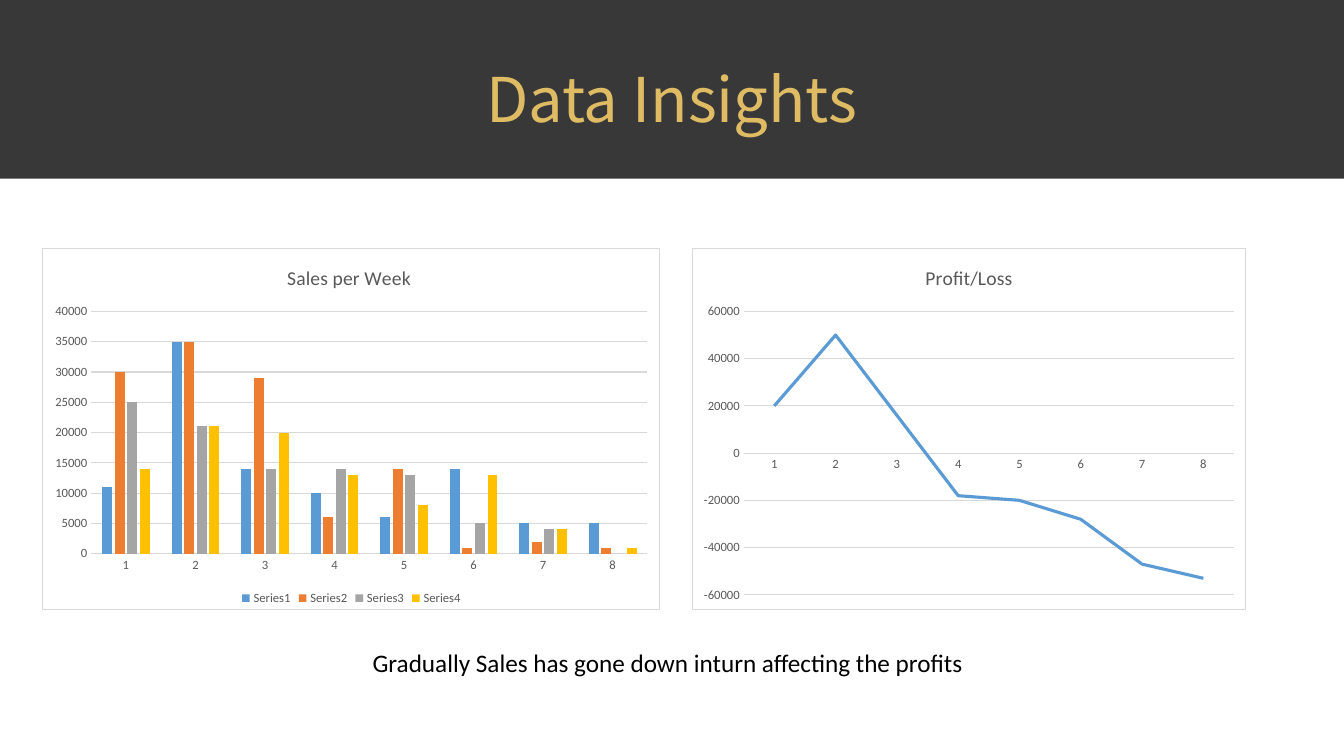
import pptx
import pptx.chart.data
import pptx.dml.color
import pptx.enum.chart
import pptx.enum.shapes
import pptx.enum.text
import pptx.oxml
import pptx.oxml.ns
import pptx.util

Cm, Pt = pptx.util.Cm, pptx.util.Pt
RGBColor = pptx.dml.color.RGBColor
ChartType = pptx.enum.chart.XL_CHART_TYPE
Align = pptx.enum.text.PP_ALIGN

CHARCOAL = RGBColor(0x38, 0x38, 0x38)
WHITE = RGBColor(0xFF, 0xFF, 0xFF)
BLACK = RGBColor(0, 0, 0)
GOLD = RGBColor(0xDF, 0xBB, 0x64)
LABEL_GRAY = RGBColor(0x59, 0x59, 0x59)
GRID_GRAY = RGBColor(0xD9, 0xD9, 0xD9)
BLUE = RGBColor(0x5B, 0x9B, 0xD5)
SALES_COLORS = [BLUE, RGBColor(0xED, 0x7D, 0x31), RGBColor(0xA5, 0xA5, 0xA5),
                RGBColor(0xFF, 0xC0, 0x00)]

WIDTH, HEIGHT, HEADER = 33.87, 19.05, 4.5
CHART_TOP, CHART_HEIGHT = 6.25, 9.12
WEEKS = [str(week) for week in range(1, 9)]
SALES = {
    "Series1": [11000, 35000, 14000, 10000, 6000, 14000, 5000, 5000],
    "Series2": [30000, 35000, 29000, 6000, 14000, 1000, 2000, 1000],
    "Series3": [25000, 21000, 14000, 14000, 13000, 5000, 4000, 0],
    "Series4": [14000, 21000, 20000, 13000, 8000, 13000, 4000, 1000],
}
PROFIT = {"Profit/Loss": [20000, 50000, 16000, -18000, -20000, -28000,
                          -47000, -53000]}


def lengths(box):
    """Turn a left, top, width, height box in centimetres into lengths."""
    return [Cm(side) for side in box]


def style_font(font, size, color, name="Calibri"):
    """Set the face, size and colour of a font."""
    font.name, font.size, font.bold = name, Pt(size), False
    font.color.rgb = color


def write(frame, text, size=18, color=BLACK, font="Calibri", align=Align.LEFT,
          wrap=True):
    """Write one formatted line into a text frame."""
    frame.word_wrap = wrap
    frame.auto_size = pptx.enum.text.MSO_AUTO_SIZE.SHAPE_TO_FIT_TEXT
    frame.vertical_anchor = pptx.enum.text.MSO_ANCHOR.TOP
    line = frame.paragraphs[0]
    line.alignment = align
    run = line.add_run()
    run.text = text
    style_font(run.font, size, color, font)


def add_panel(slide, box, color):
    """Add a plain filled rectangle."""
    panel = slide.shapes.add_shape(pptx.enum.shapes.MSO_SHAPE.RECTANGLE,
                                   *lengths(box))
    panel.shadow.inherit = False
    panel.fill.solid()
    panel.fill.fore_color.rgb = color
    panel.line.fill.background()


def add_heading(slide, box, text):
    """Place the title in the box, in front of the panels."""
    heading = slide.shapes.title
    heading.left, heading.top, heading.width, heading.height = lengths(box)
    write(heading.text_frame, text, size=44, color=GOLD,
          font="Noto Sans CJK SC", align=Align.CENTER, wrap=False)
    heading.element.getparent().append(heading.element)


def add_caption(slide, box, text):
    """Add the conclusion below the charts."""
    caption = slide.shapes.add_textbox(*lengths(box))
    write(caption.text_frame, text)


def frame_chart(chart):
    """Give the chart area a white fill and a thin gray border."""
    area = pptx.oxml.parse_xml(
        f'<c:spPr {pptx.oxml.ns.nsdecls("c", "a")}>'
        f'<a:solidFill><a:srgbClr val="{WHITE}"/></a:solidFill>'
        f'<a:ln w="{Pt(0.75)}"><a:solidFill><a:srgbClr val="{GRID_GRAY}"/>'
        '</a:solidFill></a:ln></c:spPr>')
    chart.element.find(pptx.oxml.ns.qn("c:chart")).addnext(area)


def style_axes(chart, low, high, step):
    """Style both axes and fix the value scale."""
    for axis in (chart.category_axis, chart.value_axis):
        axis.major_tick_mark = pptx.enum.chart.XL_TICK_MARK.NONE
        axis.minor_tick_mark = pptx.enum.chart.XL_TICK_MARK.NONE
        style_font(axis.tick_labels.font, 9, LABEL_GRAY)
    amounts = chart.value_axis
    amounts.minimum_scale, amounts.maximum_scale = low, high
    amounts.major_unit = step
    amounts.format.line.fill.background()
    amounts.has_major_gridlines = True
    for line in (chart.category_axis.format.line,
                 amounts.major_gridlines.format.line):
        line.color.rgb = GRID_GRAY
        line.width = Pt(0.75)


def add_week_chart(slide, box, kind, title, values, scale):
    """Add a framed, titled chart of weekly values and return it."""
    data = pptx.chart.data.CategoryChartData(number_format="General")
    data.categories = WEEKS
    for name, amounts in values.items():
        data.add_series(name, amounts)
    chart = slide.shapes.add_chart(kind, *lengths(box), data).chart
    style_font(chart.font, 10, BLACK)
    frame_chart(chart)
    chart.has_title = True
    heading = chart.chart_title.text_frame.paragraphs[0].add_run()
    heading.text = title
    style_font(heading.font, 14, LABEL_GRAY)
    chart.has_legend = False
    chart.plots[0].vary_by_categories = False
    style_axes(chart, *scale)
    return chart


def add_sales(slide, box):
    """Add the clustered columns of sales with a legend."""
    chart = add_week_chart(slide, box, ChartType.COLUMN_CLUSTERED,
                           "Sales per Week ", SALES, (0, 40000, 5000))
    columns = chart.plots[0]
    columns.gap_width, columns.overlap = 219, -27
    for series, color in zip(columns.series, SALES_COLORS):
        series.format.fill.solid()
        series.format.fill.fore_color.rgb = color
    chart.has_legend = True
    chart.legend.position = pptx.enum.chart.XL_LEGEND_POSITION.BOTTOM
    chart.legend.include_in_layout = False
    style_font(chart.legend.font, 9, LABEL_GRAY)


def add_profit(slide, box):
    """Add the line of profit and loss."""
    chart = add_week_chart(slide, box, ChartType.LINE, "Profit/Loss", PROFIT,
                           (-60000, 60000, 20000))
    trend = chart.plots[0].series[0]
    trend.smooth = False
    trend.marker.style = pptx.enum.chart.XL_MARKER_STYLE.NONE
    trend.format.line.color.rgb = BLUE
    trend.format.line.width = Pt(2.25)


def build_insights(deck):
    """Build the slide with its header, two charts and conclusion."""
    slide = deck.slides.add_slide(deck.slide_layouts.get_by_name("Title Only"))
    add_panel(slide, (0, 0, WIDTH, HEIGHT), CHARCOAL)
    add_panel(slide, (0, HEADER, WIDTH, HEIGHT - HEADER), WHITE)
    add_heading(slide, (11.81, 1.4, 10.24, 2.13), "Data Insights")
    add_profit(slide, (17.45, CHART_TOP, 13.94, CHART_HEIGHT))
    add_sales(slide, (1.07, CHART_TOP, 15.57, CHART_HEIGHT))
    add_caption(slide, (9.14, 16.18, 16.51, 1.02),
                "Gradually Sales has gone down inturn affecting the profits")


deck = pptx.Presentation()
deck.slide_width, deck.slide_height = Cm(WIDTH), Cm(HEIGHT)
build_insights(deck)
deck.save("out.pptx")
